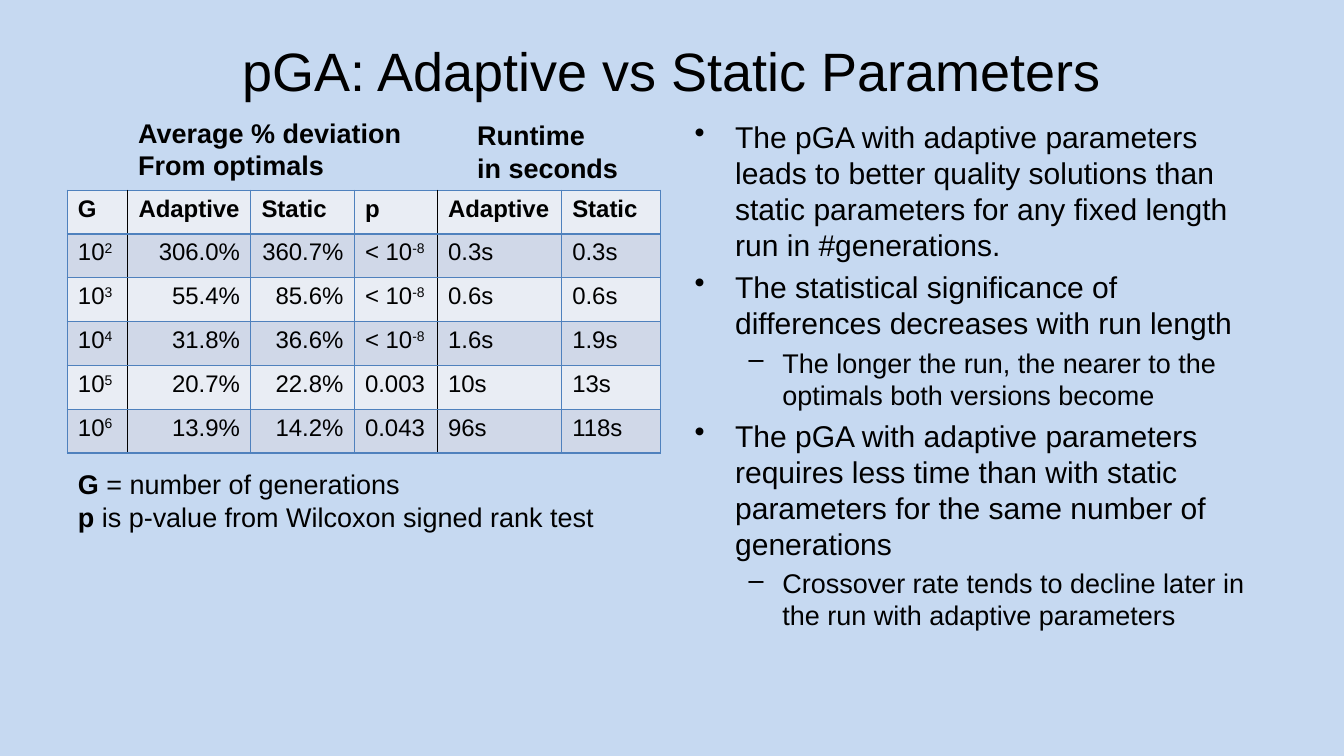
from typing import NamedTuple

from lxml.etree import SubElement
from pptx import Presentation
from pptx.dml.color import RGBColor
from pptx.enum.text import MSO_ANCHOR, PP_ALIGN
from pptx.oxml.ns import qn
from pptx.util import Pt

BLACK, BLUE = "000000", "4F81BD"
PALE, DARK = "E9EDF4", "D0D8E8"


class Run(NamedTuple):
    """A stretch of text, bold or raised."""
    text: str
    bold: bool = False
    up: bool = False


class Line(NamedTuple):
    """A paragraph made of runs."""
    runs: list[Run]
    size: float
    align: PP_ALIGN = PP_ALIGN.LEFT


class Point(NamedTuple):
    """A bulleted statement."""
    text: str
    level: int = 0


class Level(NamedTuple):
    """The look of one bullet level."""
    mark: str
    size: float
    left: float
    hang: float


class Label(NamedTuple):
    """A box of lines that does not wrap."""
    left: float
    top: float
    width: float
    lines: list[Line]


def color(code: str) -> RGBColor:
    """Turn a hex string into a colour."""
    return RGBColor.from_string(code)


def write(para, line: Line) -> None:
    """Fill a paragraph with the runs of a line."""
    para.alignment = line.align
    font = para.font
    font.name, font.size = "Arial", Pt(line.size)
    font.color.rgb = color(BLACK)
    same = len({run.bold for run in line.runs}) == 1
    if same:
        font.bold = line.runs[0].bold
    for item in line.runs:
        run = para.add_run()
        run.text = item.text
        if not same:
            run.font.bold = item.bold
        if item.up:
            run.font._element.set("baseline", "30000")


def add_box(slide, left: float, top: float, width: float, height: float,
            lines: list[Line], wrap: bool = True):
    """Add a text box and return its text frame."""
    frame = slide.shapes.add_textbox(
        Pt(left), Pt(top), Pt(width), Pt(height)).text_frame
    frame.word_wrap = wrap
    for i, line in enumerate(lines):
        write(frame.add_paragraph() if i else frame.paragraphs[0], line)
    return frame


def add_points(slide, points: list[Point]) -> None:
    """Add the bulleted list at the right."""
    lines = [Line([Run(p.text)], LEVELS[p.level].size) for p in points]
    frame = add_box(slide, 456, 75.6, 396, 350, lines)
    for para, point in zip(frame.paragraphs, points):
        level = LEVELS[point.level]
        para.level = point.level
        para.space_before = Pt(level.size * 0.2)
        props = para._p.get_or_add_pPr()
        props.set("marL", str(Pt(level.left)))
        props.set("indent", str(Pt(-level.hang)))
        mark = props.makeelement(qn("a:buChar"), {"char": level.mark})
        props.find(qn("a:defRPr")).addprevious(mark)


def edge(cell, side: str, code: str) -> None:
    """Draw one border of a cell."""
    props = cell._tc.get_or_add_tcPr()
    line = SubElement(props, qn(f"a:ln{side}"), w=str(Pt(1)))
    fill = SubElement(line, qn("a:solidFill"))
    SubElement(fill, qn("a:srgbClr"), val=code)


def split(text: str, bold: bool) -> list[Run]:
    """Split a value at the caret that starts its exponent."""
    base, _, power = text.partition("^")
    return [Run(base, bold)] + ([Run(power, bold, True)] if power else [])


def add_grid(slide, rows: list[list[str]], widths: list[float]) -> None:
    """Add the table of results."""
    high = 29.2
    table = slide.shapes.add_table(
        len(rows), len(widths), Pt(44.8), Pt(126.8),
        Pt(sum(widths)), Pt(high * len(rows))).table
    for col, width in zip(table.columns, widths):
        col.width = Pt(width)
    for r, row in enumerate(rows):
        table.rows[r].height = Pt(high)
        for c, text in enumerate(row):
            cell = table.cell(r, c)
            right = r > 0 and c in (1, 2)
            align = PP_ALIGN.RIGHT if right else PP_ALIGN.LEFT
            write(cell.text_frame.paragraphs[0],
                  Line(split(text, r == 0), 16, align))
            edge(cell, "L", BLACK if c in (1, 4) else BLUE)
            edge(cell, "R", BLACK if c in (0, 3) else BLUE)
            edge(cell, "T", BLUE)
            edge(cell, "B", BLUE)
            cell.fill.solid()
            cell.fill.fore_color.rgb = color(DARK if r % 2 else PALE)


LEVELS = [Level("•", 20, 27, 27), Level("–", 18, 58.5, 22.5)]

POINTS = [
    Point("The pGA with adaptive parameters leads to better quality solutions "
          "than static parameters for any fixed length run in #generations."),
    Point("The statistical significance of differences decreases with "
          "run length"),
    Point("The longer the run, the nearer to the optimals both versions "
          "become", 1),
    Point("The pGA with adaptive parameters requires less time than with "
          "static parameters for the same number of generations"),
    Point("Crossover rate tends to decline later in the run with adaptive "
          "parameters", 1),
]

ROWS = [
    ["G", "Adaptive", "Static", "p", "Adaptive", "Static"],
    ["10^2", "306.0%", "360.7%", "< 10^-8", "0.3s", "0.3s"],
    ["10^3", "55.4%", "85.6%", "< 10^-8", "0.6s", "0.6s"],
    ["10^4", "31.8%", "36.6%", "< 10^-8", "1.6s", "1.9s"],
    ["10^5", "20.7%", "22.8%", "0.003", "10s", "13s"],
    ["10^6", "13.9%", "14.2%", "0.043", "96s", "118s"],
]

LABELS = [
    Label(44.8, 308.2, 362, [
        Line([Run("G", True), Run(" = number of generations")], 18),
        Line([Run("p", True),
              Run(" is p-value from Wilcoxon signed rank test")], 18)]),
    Label(85, 74, 191.5, [Line([Run("Average % deviation", True)], 18),
                          Line([Run("From optimals", True)], 18)]),
    Label(311, 75.6, 109.4, [Line([Run("Runtime", True)], 18),
                             Line([Run("in seconds", True)], 18)]),
]

deck = Presentation()
deck.slide_width, deck.slide_height = Pt(896), Pt(504)
slide = deck.slides.add_slide(deck.slide_layouts[6])
slide.background.fill.solid()
slide.background.fill.fore_color.rgb = color("C6D9F1")

title = Line([Run("pGA: Adaptive vs Static Parameters")], 36, PP_ALIGN.CENTER)
head = add_box(slide, 44.8, 20.2, 806.4, 53.2, [title])
head.vertical_anchor = MSO_ANCHOR.MIDDLE
add_grid(slide, ROWS, [40.4, 82, 69, 55.4, 82.8, 66.2])
add_points(slide, POINTS)
for label in LABELS:
    add_box(slide, label.left, label.top, label.width, 51,
            label.lines, wrap=False)

deck.save("out.pptx")
